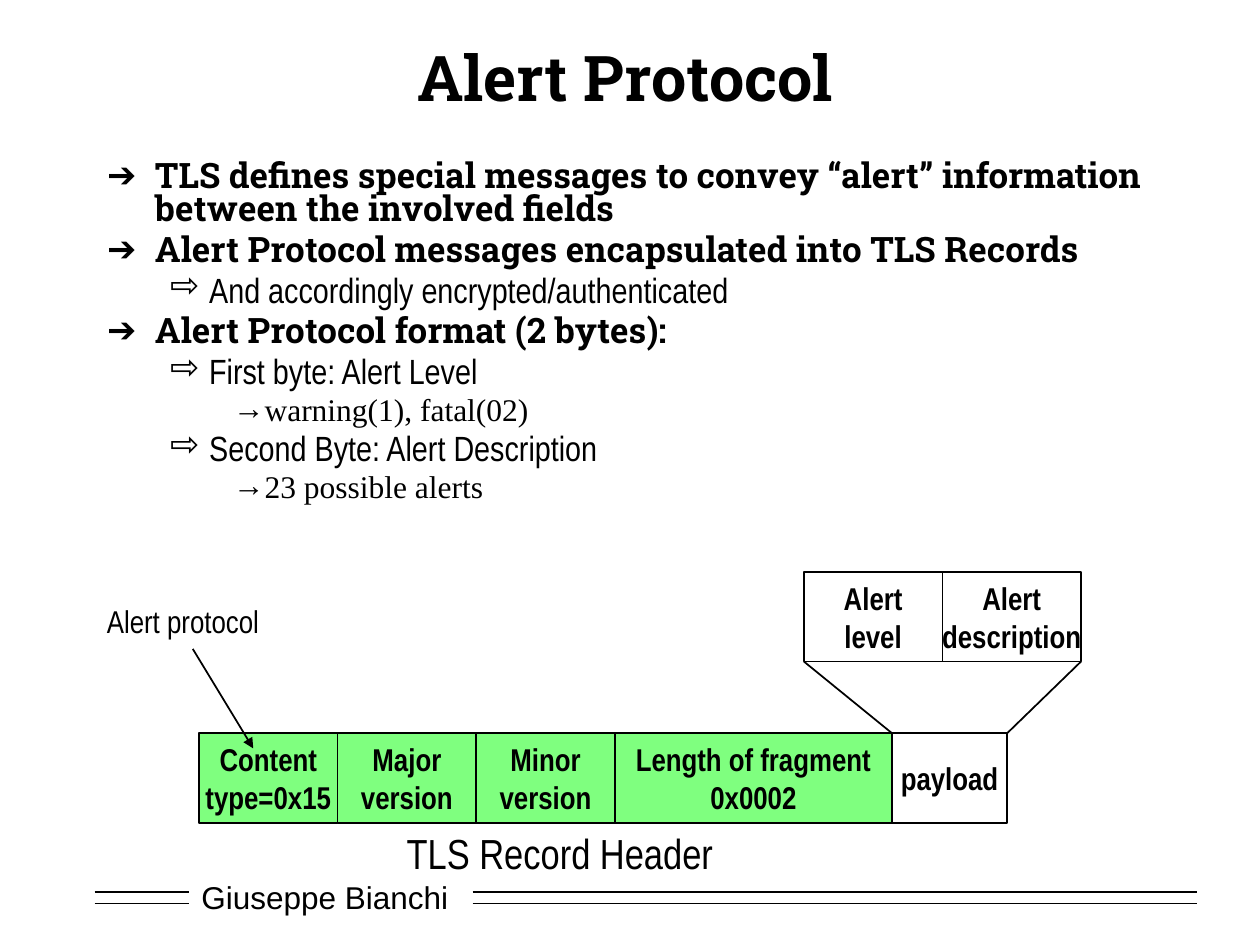
"""Build the Alert Protocol slide: bulleted outline, record diagram and footer."""
from dataclasses import dataclass

import lxml.etree
import pptx
import pptx.dml.color
import pptx.enum.shapes
import pptx.enum.text
import pptx.oxml.ns
import pptx.util

Inches = pptx.util.Inches
Pt = pptx.util.Pt
ALIGN = pptx.enum.text.PP_ALIGN
ANCHOR = pptx.enum.text.MSO_ANCHOR

BLACK, WHITE, GREEN = "000000", "FFFFFF", "00FF00"
NARROW = "Arial Narrow"
COLUMN, ROW = 1.1, 0.71
RECORD_LEFT, RECORD_TOP = 1.58, 5.82
ALERT_LEFT, ALERT_TOP = 6.38, 4.54
PAYLOAD_COLUMNS = 0.83


@dataclass(frozen=True)
class Level:
    bullet: str
    margin: float
    hanging: float
    font: str
    size: int
    bold: bool


@dataclass(frozen=True)
class Field:
    text: str
    columns: float
    fill: str


LEVELS = [
    Level("➔", 0.38, 0.38, "Roboto Slab", 20, True),
    Level("⇨", 0.81, 0.31, NARROW, 20, False),
    Level("→", 1.25, 0.25, "Times New Roman", 18, False),
]
OUTLINE = [
    (0, "TLS defines special messages to convey “alert” information between the involved fields"),
    (0, "Alert Protocol messages encapsulated into TLS Records"),
    (1, "And accordingly encrypted/authenticated"),
    (0, "Alert Protocol format (2 bytes):"),
    (1, "First byte: Alert Level"),
    (2, "warning(1), fatal(02)"),
    (1, "Second Byte: Alert Description"),
    (2, "23 possible alerts"),
]
RECORD = [
    Field("Content\ntype=0x15", 1, GREEN),
    Field("Major\nversion", 1, GREEN),
    Field("Minor\nversion", 1, GREEN),
    Field("Length of fragment\n0x0002", 2, GREEN),
    Field("payload", PAYLOAD_COLUMNS, WHITE),
]
ALERT = [Field("Alert\nlevel", 1, WHITE), Field("Alert\ndescription", 1, WHITE)]


def rgb(value: str) -> pptx.dml.color.RGBColor:
    return pptx.dml.color.RGBColor.from_string(value)


def add_xml(parent, tag: str, **attributes: str):
    return lxml.etree.SubElement(parent, pptx.oxml.ns.qn(tag), **attributes)


def style(paragraph, font: str, size: int, bold: bool = False) -> None:
    paragraph.font.name = font
    paragraph.font.size = Pt(size)
    paragraph.font.bold = bold
    paragraph.font.color.rgb = rgb(BLACK)


def place(shape, left: float, top: float, width: float, height: float) -> None:
    shape.left, shape.top = Inches(left), Inches(top)
    shape.width, shape.height = Inches(width), Inches(height)


def add_line(slide, start: tuple[float, float], end: tuple[float, float], arrow: bool = False) -> None:
    line = slide.shapes.add_connector(
        pptx.enum.shapes.MSO_CONNECTOR.STRAIGHT, *map(Inches, start + end))
    line.line.color.rgb = rgb(BLACK)
    line.line.width = Pt(1)
    if arrow:
        add_xml(line.line._get_or_add_ln(), "a:tailEnd", type="triangle")
    add_xml(line._element.spPr, "a:effectLst")


def add_label(slide, text: str, box: tuple[float, float, float, float], size: int,
              font: str = NARROW, anchor=ANCHOR.TOP) -> None:
    label = slide.shapes.add_textbox(*map(Inches, box))
    label.text_frame.vertical_anchor = anchor
    label.text_frame.word_wrap = False
    paragraph = label.text_frame.paragraphs[0]
    paragraph.text = text
    style(paragraph, font, size)


def add_fields(slide, fields: list[Field], left: float, top: float) -> None:
    for field in fields:
        width = field.columns * COLUMN
        cell = slide.shapes.add_shape(
            pptx.enum.shapes.MSO_SHAPE.RECTANGLE, *map(Inches, (left, top, width, ROW)))
        cell.shadow.inherit = False
        cell.fill.solid()
        cell.fill.fore_color.rgb = rgb(field.fill)
        tint = cell._element.spPr.find(".//" + pptx.oxml.ns.qn("a:srgbClr"))
        add_xml(tint, "a:alpha", val="50000")
        cell.line.color.rgb = rgb(BLACK)
        cell.line.width = Pt(1)
        cell.text_frame.word_wrap = False
        cell.text_frame.vertical_anchor = ANCHOR.MIDDLE
        paragraph = cell.text_frame.paragraphs[0]
        paragraph.text = field.text
        paragraph.alignment = ALIGN.CENTER
        style(paragraph, NARROW, 18, True)
        left += width


def fill_outline(body) -> None:
    frame = body.text_frame
    frame.auto_size = pptx.enum.text.MSO_AUTO_SIZE.NONE
    for index, (depth, text) in enumerate(OUTLINE):
        level = LEVELS[depth]
        paragraph = frame.add_paragraph() if index else frame.paragraphs[0]
        paragraph.text = text
        paragraph.level = depth
        properties = paragraph._p.get_or_add_pPr()
        properties.set("marL", str(Inches(level.margin)))
        properties.set("indent", str(-Inches(level.hanging)))
        add_xml(add_xml(properties, "a:buClr"), "a:srgbClr", val=BLACK)
        add_xml(properties, "a:buFont", typeface=level.font)
        add_xml(properties, "a:buChar", char=level.bullet)
        paragraph.line_spacing = 0.8
        paragraph.space_before = Pt(0.2 * level.size if index else 0)
        style(paragraph, level.font, level.size, level.bold)


def add_footer(slide) -> None:
    add_label(slide, "Giuseppe Bianchi", (1.5, 6.92, 2.17, 0.4), 18, "Arial", ANCHOR.MIDDLE)
    for height in (7.08, 7.17):
        for start, end in ((0.75, 1.5), (3.75, 9.5)):
            add_line(slide, (start, height), (end, height))


def main() -> None:
    deck = pptx.Presentation()
    deck.slide_width, deck.slide_height = Inches(10), Inches(7.5)
    slide = deck.slides.add_slide(deck.slide_layouts[1])
    title, body = slide.placeholders
    add_footer(slide)

    place(title, 0.75, 0.25, 8.42, 0.71)
    title.text_frame.auto_size = pptx.enum.text.MSO_AUTO_SIZE.NONE
    heading = title.text_frame.paragraphs[0]
    heading.text = "Alert Protocol"
    heading.alignment = ALIGN.CENTER
    style(heading, "Roboto Slab", 36, True)

    place(body, 0.75, 1.23, 8.82, 3.43)
    fill_outline(body)

    add_fields(slide, RECORD, RECORD_LEFT, RECORD_TOP)
    payload_left = RECORD_LEFT + 5 * COLUMN
    payload_right = payload_left + PAYLOAD_COLUMNS * COLUMN
    alert_bottom = ALERT_TOP + ROW
    add_line(slide, (payload_left, RECORD_TOP), (ALERT_LEFT, alert_bottom))
    add_line(slide, (payload_right, RECORD_TOP), (ALERT_LEFT + 2 * COLUMN, alert_bottom))
    add_label(slide, "TLS Record Header", (3.13, 6.52, 2.64, 0.5), 24)
    add_line(slide, (1.53, 5.15), (2.01, 5.94), arrow=True)
    add_label(slide, "Alert protocol", (0.75, 4.73, 1.41, 0.4), 18)
    add_fields(slide, ALERT, ALERT_LEFT, ALERT_TOP)

    deck.save("out.pptx")


if __name__ == "__main__":
    main()
